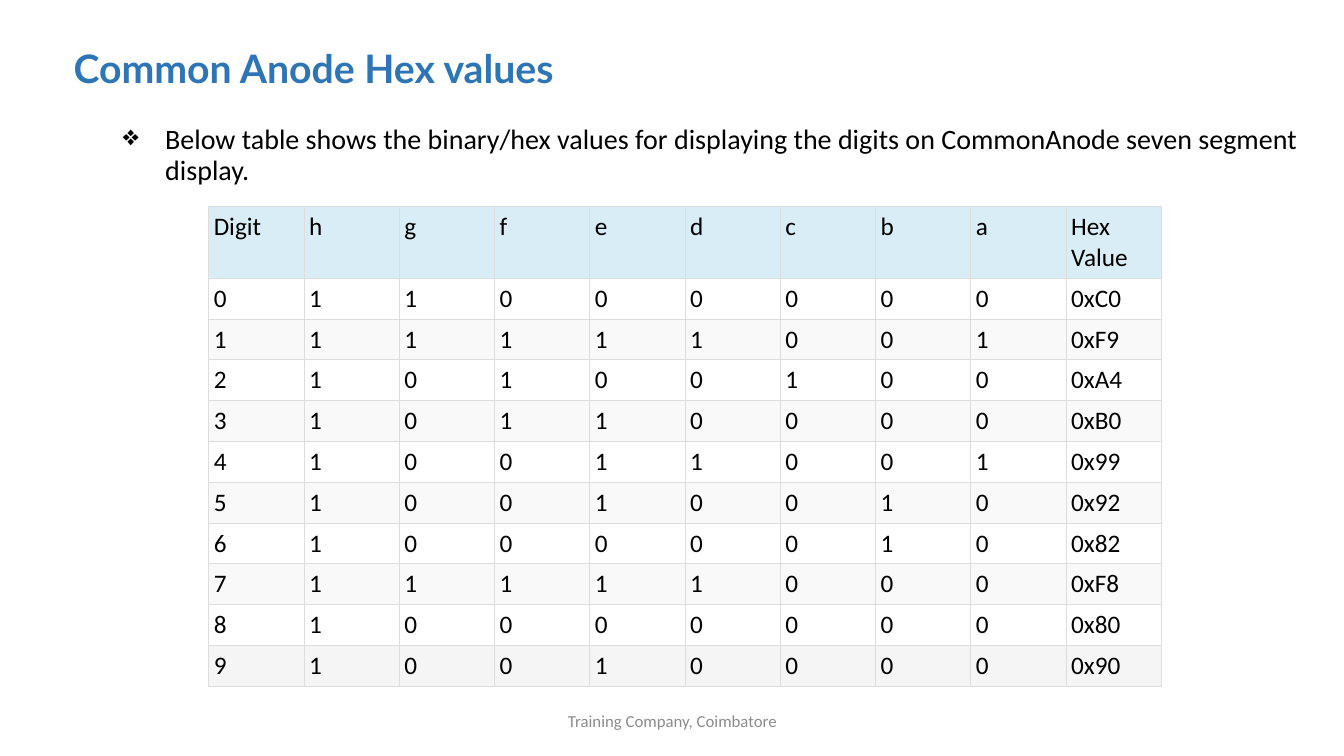
from dataclasses import dataclass

from lxml import etree
from pptx import Presentation
from pptx import util as u
from pptx.dml.color import RGBColor
from pptx.enum import text
from pptx.oxml import ns

PX = 9144


@dataclass(frozen=True)
class Theme:
    body_font: str = "Calibri"
    title_font: str = "Lato"
    title_size: int = 28
    bullet_size: int = 20
    table_size: int = 18
    footer_size: int = 12
    title: str = "2E75B6"
    ink: str = "000000"
    footer: str = "8C8C8C"
    header: str = "D9EDF7"
    plain: str = "FFFFFF"
    band: str = "F9F9F9"
    last: str = "F5F5F5"
    border: str = "DDDDDD"


THEME = Theme()
HEADINGS = ["Digit", *"hgfedcba", "Hex Value"]
CODES = [0xC0, 0xF9, 0xA4, 0xB0, 0x99, 0x92, 0x82, 0xF8, 0x80, 0x90]


def px(*lengths):
    return [u.Emu(length * PX) for length in lengths]


def format_runs(para, font, size, color, bold=False):
    for span in para.runs:
        span.font.name = font
        span.font.size = u.Pt(size)
        span.font.bold = bold
        span.font.color.rgb = RGBColor.from_string(color)


def add_title(page, box, wording):
    title = page.shapes.title
    title.left, title.top, title.width, title.height = px(*box)
    frame = title.text_frame
    frame.text = wording
    frame.auto_size = text.MSO_AUTO_SIZE.NONE
    frame.vertical_anchor = text.MSO_ANCHOR.BOTTOM
    para = frame.paragraphs[0]
    para.alignment = text.PP_ALIGN.LEFT
    para.line_spacing = 0.9
    format_runs(para, THEME.title_font, THEME.title_size, THEME.title, bold=True)


def add_text(page, box, wording, size, color):
    frame = page.shapes.add_textbox(*px(*box)).text_frame
    frame.word_wrap = True
    frame.text = wording
    format_runs(frame.paragraphs[0], THEME.body_font, size, color)
    return frame


def add_bullet(page, box, wording):
    frame = add_text(page, box, wording, THEME.bullet_size, THEME.ink)
    para = frame.paragraphs[0]
    para.line_spacing = 0.94
    para.space_before = u.Pt(10)
    para.space_after = u.Pt(2)
    indent = 42 * PX
    properties = para._p.get_or_add_pPr()
    properties.set("marL", str(indent))
    properties.set("indent", str(-indent))
    etree.SubElement(properties, ns.qn("a:buChar"), char="❖")


def add_footer(page, box, wording):
    frame = add_text(page, box, wording, THEME.footer_size, THEME.footer)
    frame.vertical_anchor = text.MSO_ANCHOR.MIDDLE
    frame.paragraphs[0].alignment = text.PP_ALIGN.CENTER


def add_borders(cell):
    properties = cell._tc.get_or_add_tcPr()
    for position, side in enumerate(("lnL", "lnR", "lnT", "lnB")):
        line = etree.Element(ns.qn(f"a:{side}"), w=str(u.Pt(0.75)))
        fill = etree.SubElement(line, ns.qn("a:solidFill"))
        etree.SubElement(fill, ns.qn("a:srgbClr"), val=THEME.border)
        properties.insert(position, line)


def fill_cell(cell, wording, color):
    cell.text = wording
    format_runs(cell.text_frame.paragraphs[0], THEME.body_font, THEME.table_size, THEME.ink)
    cell.margin_left = cell.margin_right = cell.margin_top = cell.margin_bottom = u.Emu(5 * PX)
    cell.fill.solid()
    cell.fill.fore_color.rgb = RGBColor.from_string(color)
    add_borders(cell)


def add_code_table(page, box, header_height):
    rows = [HEADINGS] + [[str(digit), *f"{code:08b}", f"0x{code:02X}"] for digit, code in enumerate(CODES)]
    fills = [THEME.header] + [THEME.band if digit % 2 else THEME.plain for digit in range(len(CODES))]
    fills[-1] = THEME.last
    left, top, width, height = px(*box)
    table = page.shapes.add_table(len(rows), len(HEADINGS), left, top, width, height).table
    for column in table.columns:
        column.width = width // len(HEADINGS)
    for row in table.rows:
        row.height = (height - header_height * PX) // len(CODES)
    table.rows[0].height = u.Emu(header_height * PX)
    for row, wordings, color in zip(table.rows, rows, fills):
        for cell, wording in zip(row.cells, wordings):
            fill_cell(cell, wording, color)


def main():
    deck = Presentation()
    deck.slide_width, deck.slide_height = px(1333, 750)
    page = deck.slides.add_slide(deck.slide_layouts[5])
    add_title(page, (63, 29, 726, 67), "Common Anode Hex values")
    add_bullet(
        page,
        (112, 118, 1204, 73),
        "Below table shows the binary/hex values for displaying the digits on "
        "CommonAnode seven segment display.",
    )
    add_code_table(page, (207, 205, 945, 476), header_height=71)
    add_footer(page, (442, 695, 450, 40), "Training Company, Coimbatore")
    deck.save("out.pptx")


if __name__ == "__main__":
    main()
